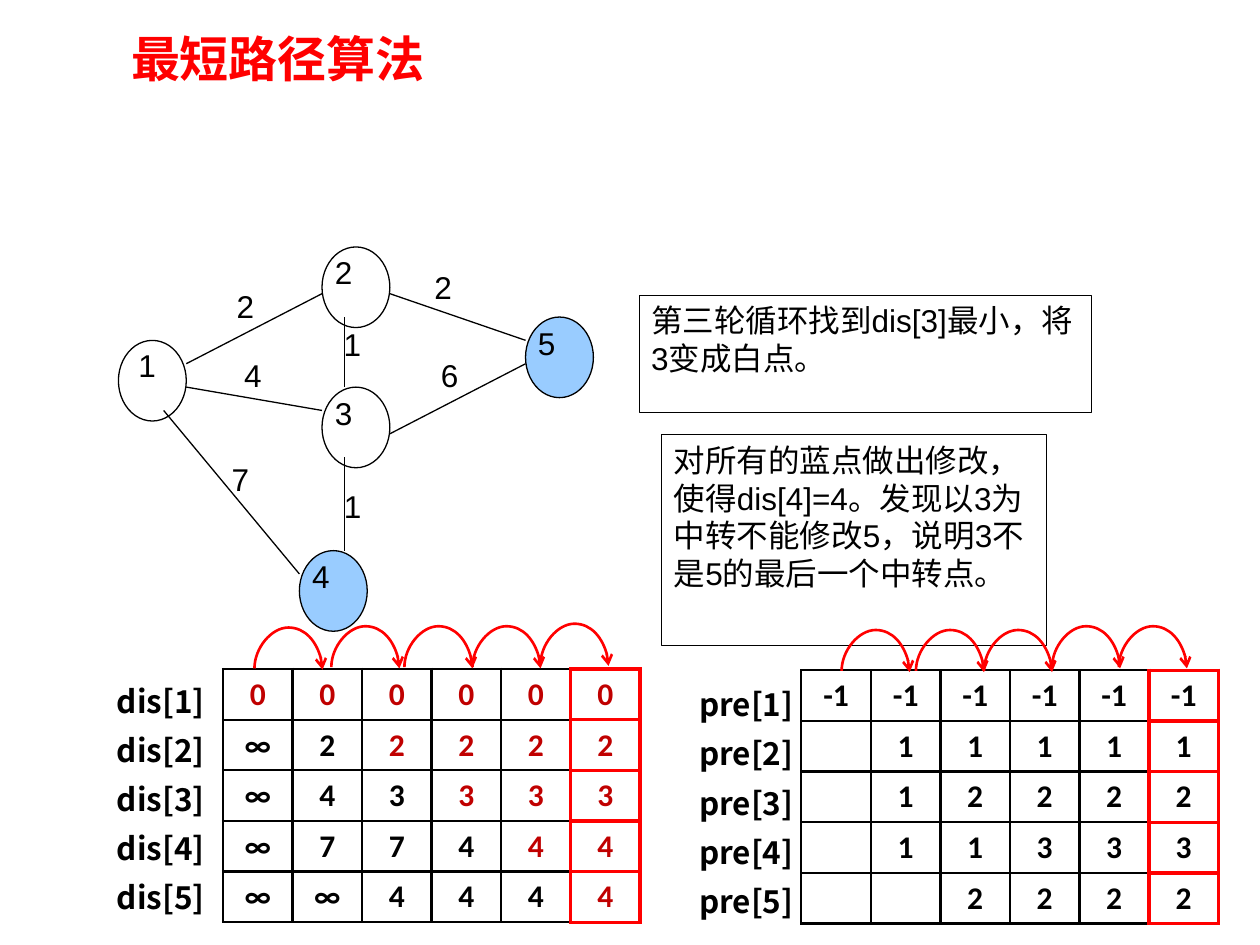
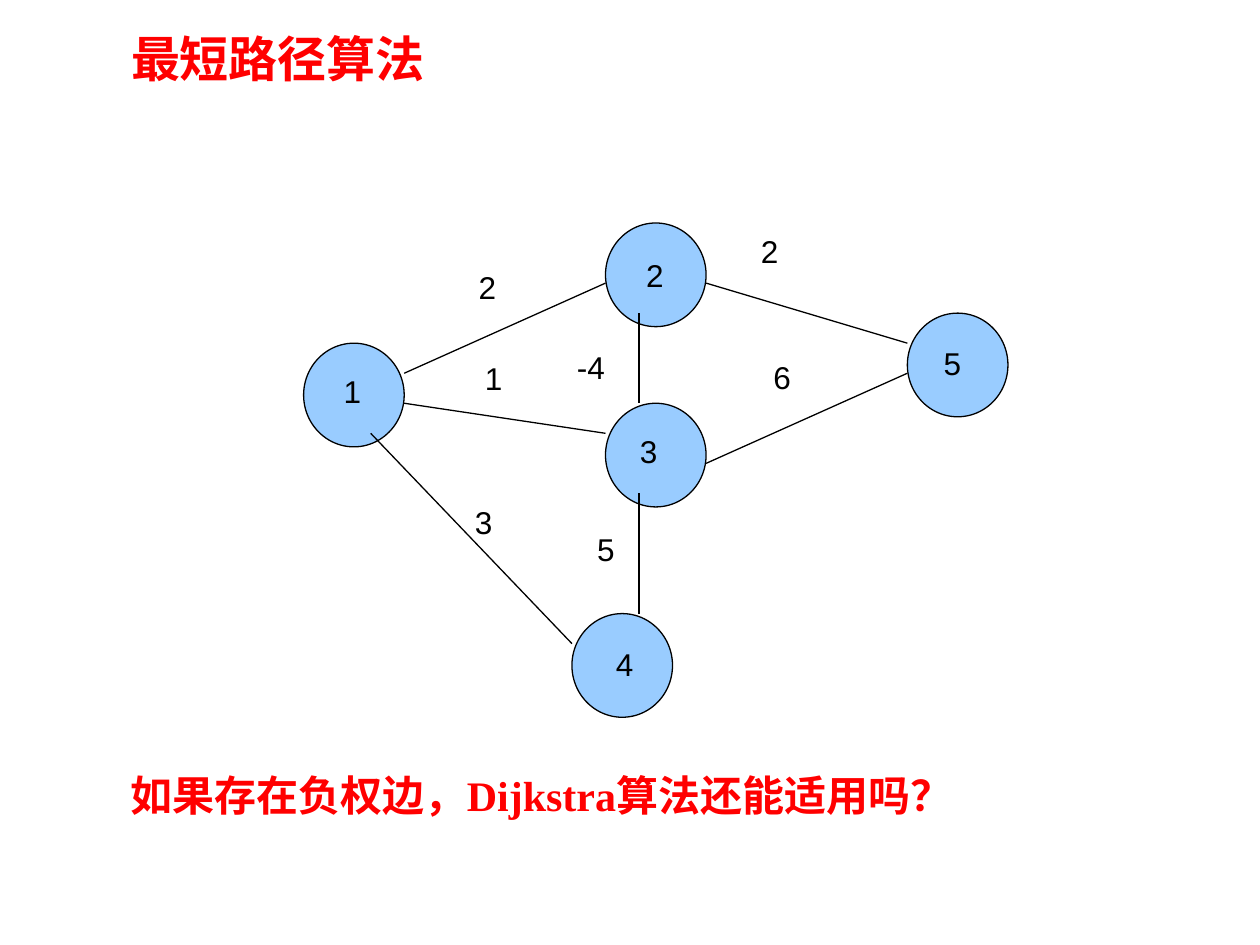
from dataclasses import dataclass

import pptx
import pptx.dml.color
import pptx.enum.shapes
import pptx.enum.text
import pptx.oxml.ns
import pptx.util
from lxml import etree

Inches = pptx.util.Inches
Pt = pptx.util.Pt
qn = pptx.oxml.ns.qn
ALIGN = pptx.enum.text.PP_ALIGN
ANCHOR = pptx.enum.text.MSO_ANCHOR
CONNECTOR = pptx.enum.shapes.MSO_CONNECTOR
SHAPE = pptx.enum.shapes.MSO_SHAPE

# Shared look
COLORS = {"ink": "000000", "red": "FF0000", "settled": "C00000", "blue": "99CCFF"}
CJK_FONT = "Noto Sans CJK SC"
TITLE = "最短路径算法"


@dataclass(frozen=True)
class Style:
    size: int = 18
    font: str = "Arial"
    color: str = "ink"
    bold: bool = False


@dataclass(frozen=True)
class Label:
    text: str
    left: float
    top: float
    width: float
    height: float


@dataclass(frozen=True)
class Graph:
    """A graph on a grid 21 units wide, with 13 units from node 2 to node 4."""
    left: float
    top: float
    width: float
    drop: float
    blue_nodes: tuple[int, ...]
    labels: tuple[Label, ...]

    def x(self, units: float) -> float:
        return self.left + units * self.width / 21

    def y(self, units: float) -> float:
        return self.top + units * self.drop / 13


@dataclass(frozen=True)
class History:
    """One array over the rounds: a table column for each round."""
    name: str
    left: float
    top: float
    name_left: float
    name_top: float
    columns: tuple[str, ...]
    marks_settled: bool
    hops: tuple[tuple[float, float], ...]


BODY = Style()
HEADING = Style(28, "Calibri", "red", True)
ROW_NAME = Style(18, CJK_FONT, "ink", True)

# Grid places of the nodes and of the edge ends
NODES = {1: (0, 4), 2: (9, 0), 3: (9, 6), 4: (8, 13), 5: (18, 3)}
NODE_WIDTH, NODE_HEIGHT = 3, 3.45
EDGES = (
    ((3, 5), (9, 2)), ((2, 7), (8, 14)), ((3, 6), (9, 7)), ((10, 3), (10, 6)),
    ((10, 9), (10, 13)), ((12, 8), (18, 5)), ((12, 2), (18, 4)),
)

ROUND_GRAPH = Graph(0.94, 1.96, 3.77, 2.41, (4, 5), (
    Label("1", 1, 2.7, 0.36, 0.56), Label("2", 2.56, 1.96, 0.54, 0.56),
    Label("3", 2.56, 3.08, 0.54, 0.74), Label("4", 2.38, 4.37, 0.54, 0.74),
    Label("5", 4.17, 2.52, 0.54, 0.74), Label("2", 1.78, 2.23, 0.36, 0.56),
    Label("4", 1.84, 2.78, 0.36, 0.56), Label("7", 1.74, 3.6, 0.54, 0.56),
    Label("1", 2.63, 2.53, 0.54, 0.93), Label("1", 2.63, 3.82, 0.72, 0.74),
    Label("6", 3.4, 2.78, 0.36, 0.56), Label("2", 3.35, 2.08, 0.36, 0.56),
))
NEGATIVE_GRAPH = Graph(2.41, 1.77, 5.59, 3.1, (1, 2, 3, 4, 5), (
    Label("1", 2.63, 2.9, 0.53, 0.71), Label("2", 5.03, 1.98, 0.8, 0.72),
    Label("3", 4.98, 3.38, 0.8, 0.95), Label("4", 4.79, 5.07, 0.8, 0.95),
    Label("5", 7.39, 2.68, 0.8, 0.95), Label("2", 3.7, 2.08, 0.53, 0.72),
    Label("1", 3.75, 2.8, 0.53, 0.71), Label("3", 3.67, 3.94, 0.8, 0.72),
    Label("-4", 4.48, 2.71, 0.87, 1.01), Label("5", 4.64, 4.16, 1.06, 0.95),
    Label("6", 6.04, 2.79, 0.53, 0.63), Label("2", 5.94, 1.79, 0.53, 0.72),
))
NOTES = (
    Label("第三轮循环找到dis[3]最小，将3变成白点。", 5.07, 2.34, 3.59, 0.93),
    Label("对所有的蓝点做出修改，使得dis[4]=4。发现以3为中转不能修改5，说明3不是5的最后一个中转点。",
          5.25, 3.45, 3.05, 1.67),
)
HISTORIES = (
    History("dis", 1.77, 5.31, 0.83, 5.27,
            ("0,∞,∞,∞,∞", "0,2,4,7,∞", "0,2,3,7,4") + ("0,2,3,4,4",) * 3, True,
            ((2.02, 5.31), (2.63, 5.3), (3.21, 5.3), (3.75, 5.3), (4.29, 5.28))),
    History("pre", 6.36, 5.32, 5.45, 5.3,
            ("-1,,,,", "-1,1,1,1,", "-1,1,2,1,2") + ("-1,1,2,3,2",) * 3, False,
            ((6.68, 5.33), (7.27, 5.33), (7.81, 5.33), (8.35, 5.3), (8.88, 5.3))),
)
ROUNDS_WIDTH = 3.31
TABLE_HEIGHT = 2.01
HOP_WIDTH, HOP_RISE, HOP_BOX = 0.54, 0.33, 0.01


def rgb(name: str) -> pptx.dml.color.RGBColor:
    return pptx.dml.color.RGBColor.from_string(COLORS[name])


def apply_format(target, values: dict) -> None:
    for name, value in values.items():
        setattr(target, name, value)


def add_run(paragraph, text: str, style: Style) -> None:
    run = paragraph.add_run()
    run.text = text
    run.font.color.rgb = rgb(style.color)
    apply_format(run.font, {"size": Pt(style.size), "name": style.font, "bold": style.bold})
    latin = run.font._element.find(qn("a:latin"))
    east_asian = etree.Element(qn("a:ea"), typeface=CJK_FONT)
    latin.addnext(east_asian)


def place(label: Label) -> tuple:
    return tuple(Inches(value) for value in (label.left, label.top, label.width, label.height))


def add_text(slide, label: Label, style: Style = BODY, spacing: float = 1.0):
    """Add a text box with one paragraph for each line of the label."""
    frame = slide.shapes.add_textbox(*place(label)).text_frame
    frame.word_wrap = True
    for index, line in enumerate(label.text.split("\n") if label.text else ()):
        paragraph = frame.add_paragraph() if index else frame.paragraphs[0]
        paragraph.line_spacing = spacing
        add_run(paragraph, line, style)
    return frame


def add_shape(slide, kind, label: Label, line_width: float, fill: str | None = None):
    shape = slide.shapes.add_shape(kind, *place(label))
    shape.shadow.inherit = False
    if fill:
        shape.fill.solid()
        shape.fill.fore_color.rgb = rgb(fill)
    else:
        shape.fill.background()
    shape.line.color.rgb = rgb("ink")
    shape.line.width = Pt(line_width)
    return shape


def add_line(slide, kind, start: tuple, end: tuple, color: str, width: float):
    connector = slide.shapes.add_connector(kind, *(Inches(value) for value in start + end))
    connector.line.color.rgb = rgb(color)
    connector.line.width = Pt(width)
    etree.SubElement(connector._element.spPr, qn("a:effectLst"))
    return connector


def add_hop(slide, left: float, base: float) -> None:
    """Add a curved arrow: a narrow upright connector turned on its side."""
    middle = left + HOP_WIDTH / 2
    start = (middle + HOP_BOX / 2, base - HOP_WIDTH / 2)
    end = (middle - HOP_BOX / 2, base + HOP_WIDTH / 2)
    hop = add_line(slide, CONNECTOR.CURVE, start, end, "red", 1.5)
    properties = hop._element.spPr
    properties.find(qn("a:xfrm")).set("rot", str(270 * 60000))
    geometry = properties.find(qn("a:prstGeom"))
    adjustments = geometry.find(qn("a:avLst"))
    if adjustments is None:
        adjustments = etree.SubElement(geometry, qn("a:avLst"))
    bend = -round(HOP_RISE / HOP_BOX * 100000)
    etree.SubElement(adjustments, qn("a:gd"), name="adj1", fmla=f"val {bend}")
    etree.SubElement(properties.find(qn("a:ln")), qn("a:tailEnd"), type="arrow")


def add_borders(cell, color: str, width: float) -> None:
    properties = cell._tc.get_or_add_tcPr()
    for side in ("lnL", "lnR", "lnT", "lnB"):
        line = etree.SubElement(properties, qn(f"a:{side}"), w=str(Pt(width)))
        fill = etree.SubElement(line, qn("a:solidFill"))
        etree.SubElement(fill, qn("a:srgbClr"), val=COLORS[color])


def add_column(slide, history: History, index: int) -> None:
    values = history.columns[index].split(",")
    pitch = ROUNDS_WIDTH / len(history.columns)
    box = Label("", history.left + index * pitch, history.top, pitch, TABLE_HEIGHT)
    table = slide.shapes.add_table(len(values), 1, *place(box)).table
    apply_format(table, {"first_row": False, "horz_banding": False})
    is_last = index == len(history.columns) - 1
    settled_count = max(1, index) if history.marks_settled else 0
    for row, value in enumerate(values):
        cell = table.cell(row, 0)
        add_borders(cell, "red" if is_last else "ink", 2.25 if is_last else 1.5)
        cell.fill.background()
        cell.vertical_anchor = ANCHOR.MIDDLE
        paragraph = cell.text_frame.paragraphs[0]
        paragraph.alignment = ALIGN.CENTER
        if value:
            color = "settled" if row < settled_count else "ink"
            add_run(paragraph, value, Style(18, "Calibri", color, True))


def add_history(slide, history: History) -> None:
    names = "\n".join(f"{history.name}[{number}]" for number in NODES)
    add_text(slide, Label(names, history.name_left, history.name_top, 1.02, TABLE_HEIGHT),
             ROW_NAME, 1.3)
    for index in range(len(history.columns)):
        add_column(slide, history, index)
    for left, base in history.hops:
        add_hop(slide, left, base)


def add_graph(slide, graph: Graph) -> None:
    width = graph.x(NODE_WIDTH) - graph.left
    height = graph.y(NODE_HEIGHT) - graph.top
    for number, (column, row) in NODES.items():
        box = Label("", graph.x(column), graph.y(row), width, height)
        fill = "blue" if number in graph.blue_nodes else None
        add_shape(slide, SHAPE.OVAL, box, 0.75, fill)
    for edge in EDGES:
        start, end = ((graph.x(column), graph.y(row)) for column, row in edge)
        add_line(slide, CONNECTOR.STRAIGHT, start, end, "ink", 0.75)
    for label in graph.labels:
        add_text(slide, label)


def add_note(slide, note: Label) -> None:
    frame = add_shape(slide, SHAPE.RECTANGLE, note, 0.25).text_frame
    apply_format(frame, {"word_wrap": True, "vertical_anchor": ANCHOR.TOP})
    frame.paragraphs[0].alignment = ALIGN.LEFT
    add_run(frame.paragraphs[0], note.text, BODY)


def add_titled_slide(presentation):
    slide = presentation.slides.add_slide(presentation.slide_layouts[5])
    title = slide.shapes.title
    left, top, width, height = place(Label(TITLE, 0.94, 0.18, 2.91, 0.56))
    apply_format(title, {"left": left, "top": top, "width": width, "height": height})
    apply_format(title.text_frame, {
        "word_wrap": False, "vertical_anchor": ANCHOR.TOP,
        "auto_size": pptx.enum.text.MSO_AUTO_SIZE.NONE,
    })
    paragraph = title.text_frame.paragraphs[0]
    paragraph.alignment = ALIGN.LEFT
    add_run(paragraph, TITLE, HEADING)
    return slide


def main() -> None:
    presentation = pptx.Presentation()
    presentation.slide_width = Inches(10)
    presentation.slide_height = Inches(7.5)

    # Third round of the algorithm
    slide = add_titled_slide(presentation)
    add_graph(slide, ROUND_GRAPH)
    for note in NOTES:
        add_note(slide, note)
    for history in HISTORIES:
        add_history(slide, history)

    # Graph with a negative edge
    slide = add_titled_slide(presentation)
    add_graph(slide, NEGATIVE_GRAPH)
    question = add_text(slide, Label("", 0.94, 6.06, 6.93, 0.5)).paragraphs[0]
    add_run(question, "如果存在负权边，Dijkstra", Style(24, "Times New Roman", "red", True))
    add_run(question, "算法还能适用吗？", Style(24, CJK_FONT, "red", True))

    presentation.save("out.pptx")


if __name__ == "__main__":
    main()
